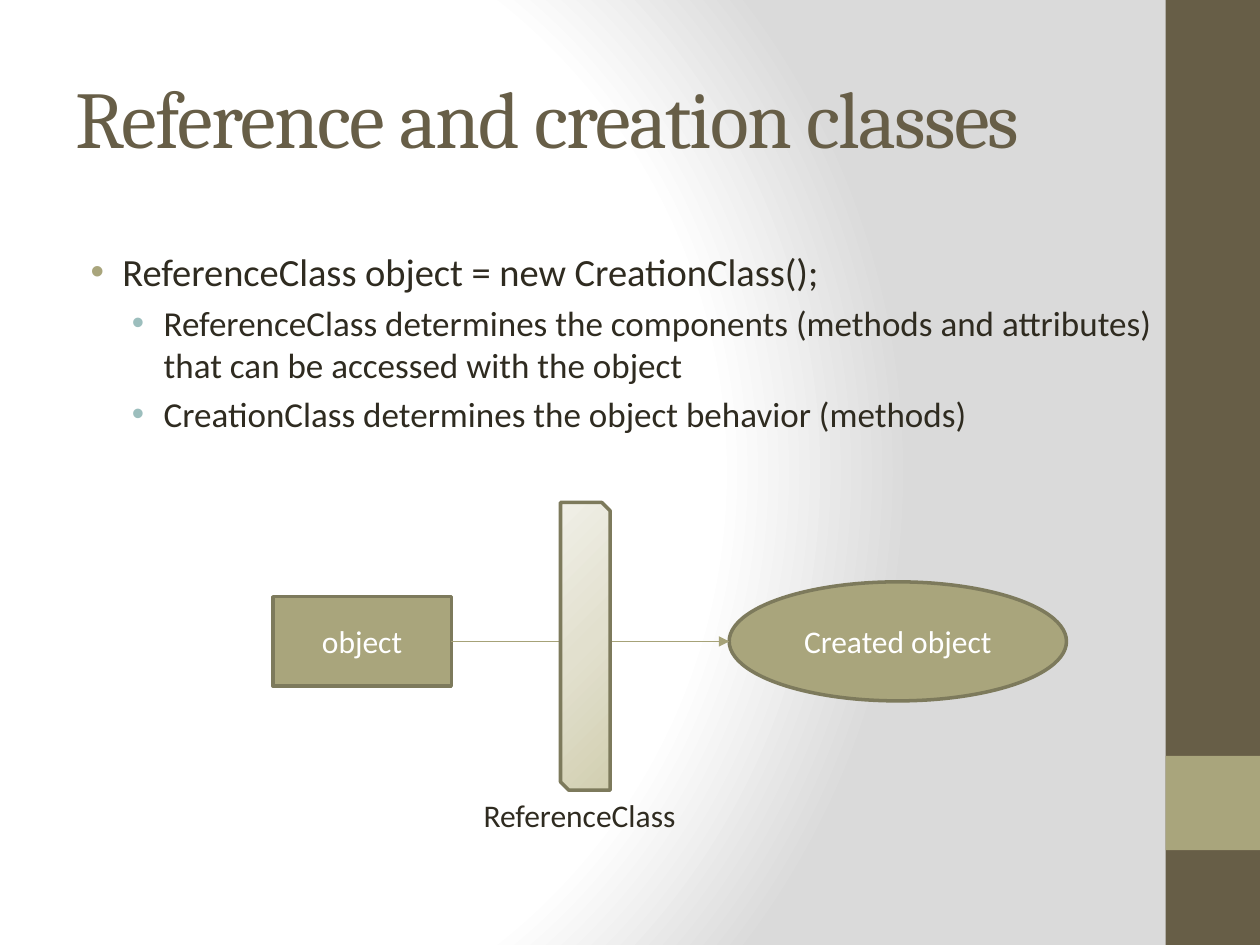
"""Builds the slide on reference and creation classes."""
import lxml.etree
import pptx
import pptx.dml.color
import pptx.enum.shapes
import pptx.enum.text
import pptx.oxml.ns
import pptx.util

Cm, Pt = pptx.util.Cm, pptx.util.Pt
RGBColor = pptx.dml.color.RGBColor
SHAPES = pptx.enum.shapes.MSO_SHAPE
ANCHOR = pptx.enum.text.MSO_ANCHOR
ALIGN = pptx.enum.text.PP_ALIGN
qn = pptx.oxml.ns.qn

BROWN = RGBColor(0x67, 0x5E, 0x47)
OLIVE = RGBColor(0xA9, 0xA5, 0x7C)
OUTLINE = RGBColor(0x7D, 0x7A, 0x5C)
ARROW = RGBColor(0xA6, 0xA2, 0x78)
TEAL = RGBColor(0x9C, 0xBE, 0xBD)
INK = RGBColor(0x2F, 0x2B, 0x20)
WHITE = RGBColor(0xFF, 0xFF, 0xFF)
GREY = RGBColor(0xDA, 0xDA, 0xDA)
SAND = RGBColor(0xD2, 0xCF, 0xB1)
PALE_SAND = RGBColor(0xE2, 0xE0, 0xCE)
CREAM = RGBColor(0xF0, 0xEF, 0xE7)


def add_element(parent, tag, **attributes):
    """Append a drawing element with the given attributes."""
    element = lxml.etree.SubElement(parent, qn(tag))
    for name, value in attributes.items():
        element.set(name, str(value))
    return element


def write(paragraph, text, size=18, color=INK, font="Calibri", align=ALIGN.LEFT, spacing=None):
    """Put formatted text into a paragraph."""
    run = paragraph.add_run()
    run.text = text
    run.font.size = Pt(size)
    run.font.name = font
    run.font.color.rgb = color
    paragraph.alignment = align
    if spacing is not None:
        run.font._element.set("spc", str(spacing))


def radial_gradient(fill, owner, stops, focus):
    """Fill with a circular gradient around a focus rectangle."""
    fill.gradient()
    gradient = owner.find(".//" + qn("a:gradFill"))
    for child in list(gradient):
        gradient.remove(child)
    stop_list = add_element(gradient, "a:gsLst")
    for position, color in stops:
        stop = add_element(stop_list, "a:gs", pos=position * 1000)
        add_element(stop, "a:srgbClr", val=color)
    circle = add_element(gradient, "a:path", path="circle")
    sides = {side: inset * 1000 for side, inset in zip("ltrb", focus)}
    add_element(circle, "a:fillToRect", **sides)


class SlideBuilder:
    """Holds the style and the current slide."""

    outline_width = Pt(2)
    bullet_indent = Cm(0.64)

    def __init__(self, presentation):
        self.slide = presentation.slides.add_slide(presentation.slide_layouts[5])

    def background(self, stops, focus):
        """Give the slide a gradient background."""
        radial_gradient(self.slide.background.fill, self.slide.element, stops, focus)

    def title(self, text, left, top, width, height):
        """Place and format the title."""
        title = self.slide.shapes.title
        title.left, title.top, title.width, title.height = left, top, width, height
        frame = title.text_frame
        frame.vertical_anchor = ANCHOR.MIDDLE
        frame.auto_size = pptx.enum.text.MSO_AUTO_SIZE.NONE
        write(frame.paragraphs[0], text, size=46, color=BROWN, font="Cambria", spacing=-100)

    def shape(self, kind, left, top, width, height, fill=None, outline=None, text=None):
        """Add a preset shape with optional centred text."""
        shape = self.slide.shapes.add_shape(kind, left, top, width, height)
        shape.shadow.inherit = False
        if fill is not None:
            shape.fill.solid()
            shape.fill.fore_color.rgb = fill
        if outline is None:
            shape.line.fill.background()
        else:
            shape.line.color.rgb = outline
            shape.line.width = self.outline_width
        if text:
            shape.text_frame.vertical_anchor = ANCHOR.MIDDLE
            write(shape.text_frame.paragraphs[0], text, color=WHITE, align=ALIGN.CENTER)
        return shape

    def text_box(self, left, top, width, height):
        """Add a wrapping text box and return its frame."""
        frame = self.slide.shapes.add_textbox(left, top, width, height).text_frame
        frame.word_wrap = True
        return frame

    def bullets(self, items, left, top, width, height):
        """Add a two-level bulleted list."""
        levels = [(22, Cm(0.95), OLIVE), (20, Cm(1.78), TEAL)]
        frame = self.text_box(left, top, width, height)
        for index, (level, text) in enumerate(items):
            size, margin, bullet_color = levels[level]
            paragraph = frame.add_paragraph() if index else frame.paragraphs[0]
            paragraph.level = level
            paragraph.space_before = Pt(size * 0.2)
            write(paragraph, text, size=size)
            properties = paragraph._p.get_or_add_pPr()
            properties.set("marL", str(margin))
            properties.set("indent", str(-self.bullet_indent))
            add_element(add_element(properties, "a:buClr"), "a:srgbClr", val=bullet_color)
            add_element(properties, "a:buFont", typeface="Arial")
            add_element(properties, "a:buChar", char="•")

    def arrow(self, start_x, end_x, y):
        """Add a horizontal arrow."""
        connector = self.slide.shapes.add_connector(
            pptx.enum.shapes.MSO_CONNECTOR.STRAIGHT, start_x, y, end_x, y)
        connector.line.color.rgb = ARROW
        connector.line.width = Pt(1)
        add_element(connector.line._get_or_add_ln(), "a:tailEnd", type="triangle")
        add_element(connector._element.spPr, "a:effectLst")


def main():
    """Build and save the presentation."""
    presentation = pptx.Presentation()
    presentation.slide_width, presentation.slide_height = Cm(25.4), Cm(19.05)
    builder = SlideBuilder(presentation)
    builder.background([(0, WHITE), (75, WHITE), (100, GREY)], (20, 50, 100, 50))

    builder.shape(SHAPES.RECTANGLE, Cm(23.5), 0, Cm(1.9), Cm(19.05), fill=BROWN)
    builder.shape(SHAPES.RECTANGLE, Cm(23.5), Cm(15.24), Cm(1.9), Cm(1.9), fill=OLIVE)
    builder.title("Reference and creation classes", Cm(1.27), Cm(0.76), Cm(21.16), Cm(3.18))
    builder.bullets([
        (0, "ReferenceClass object = new CreationClass();"),
        (1, "ReferenceClass determines the components (methods and attributes) "
            "that can be accessed with the object"),
        (1, "CreationClass determines the object behavior (methods)"),
    ], Cm(1.27), Cm(4.88), Cm(22.86), Cm(4.14))

    created = builder.shape(SHAPES.OVAL, Cm(14.7), Cm(11.73), Cm(6.8), Cm(2.4),
                            fill=OLIVE, outline=OUTLINE, text="Created object")
    reference = builder.shape(SHAPES.RECTANGLE, Cm(5.5), Cm(12.03), Cm(3.6), Cm(1.8),
                              fill=OLIVE, outline=OUTLINE, text="object")
    builder.arrow(reference.left + reference.width, created.left,
                  created.top + created.height // 2)
    gate = builder.shape(SHAPES.SNIP_2_DIAG_RECTANGLE, Cm(11.3), Cm(10.13), Cm(1), Cm(5.8),
                         outline=OUTLINE)
    radial_gradient(gate.fill, gate.element,
                    [(0, SAND), (50, PALE_SAND), (100, CREAM)], (100, 100, 0, 0))
    label = builder.text_box(Cm(9.5), Cm(15.93), Cm(4.8), Cm(1.02))
    write(label.paragraphs[0], "ReferenceClass")
    presentation.save("out.pptx")


main()
